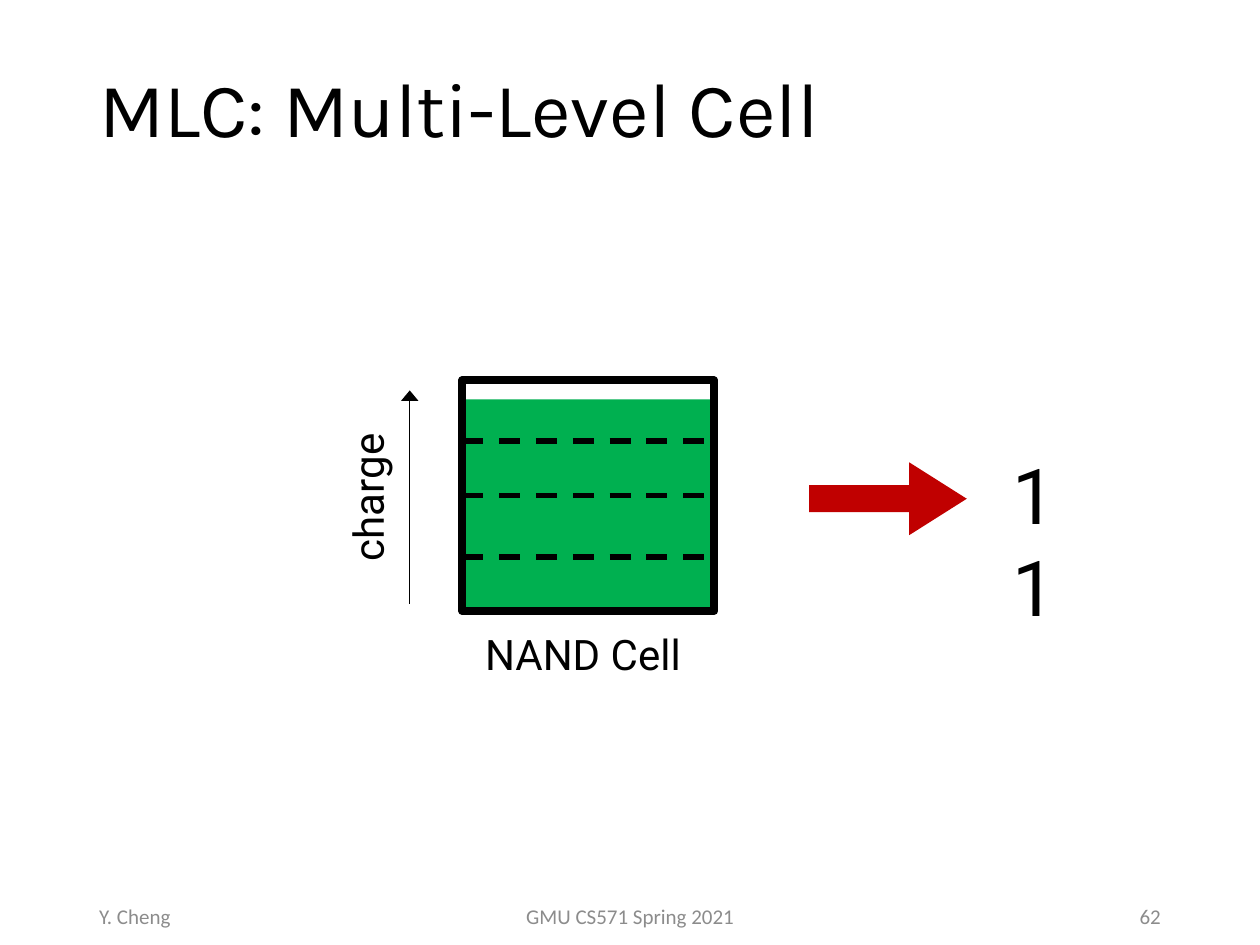
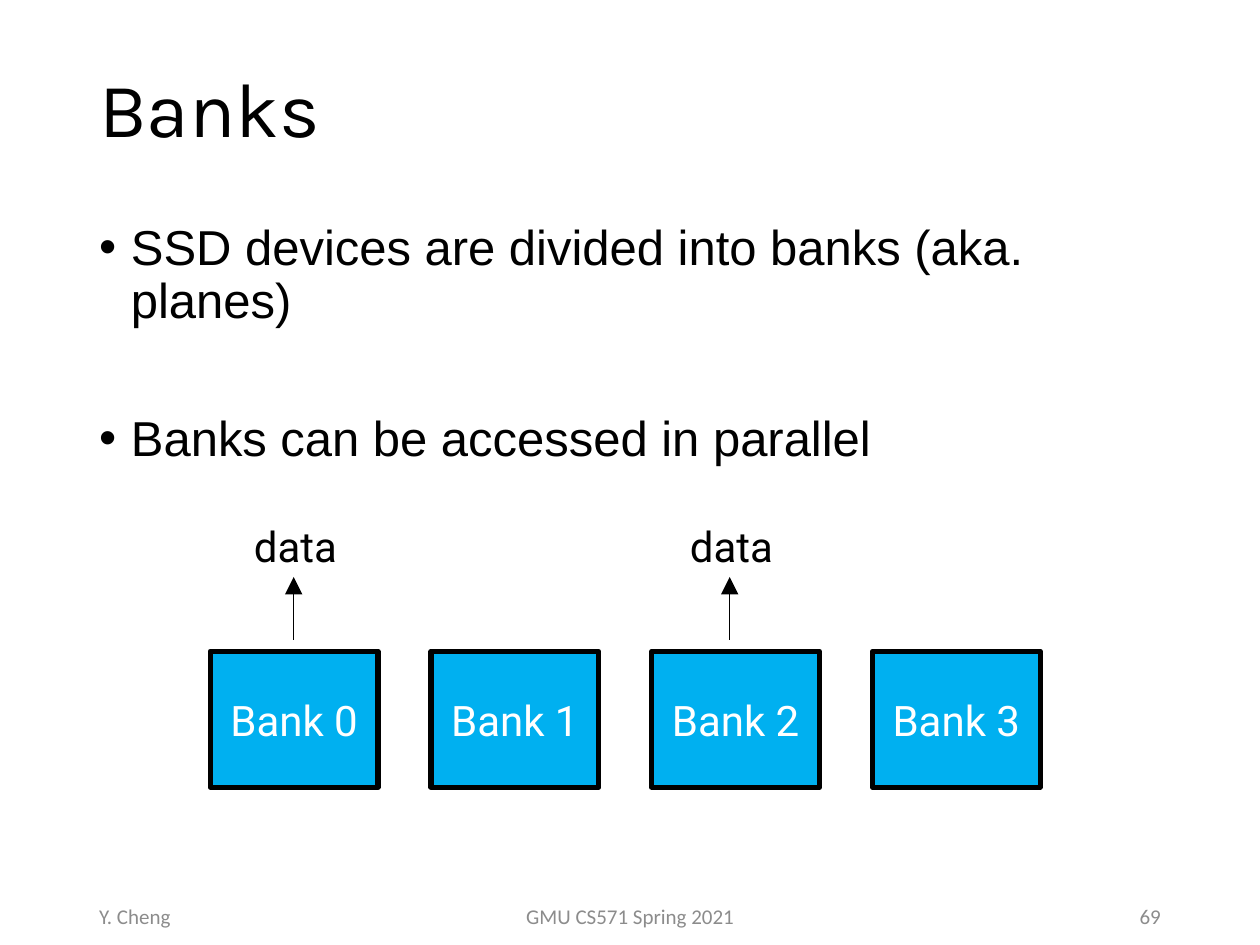
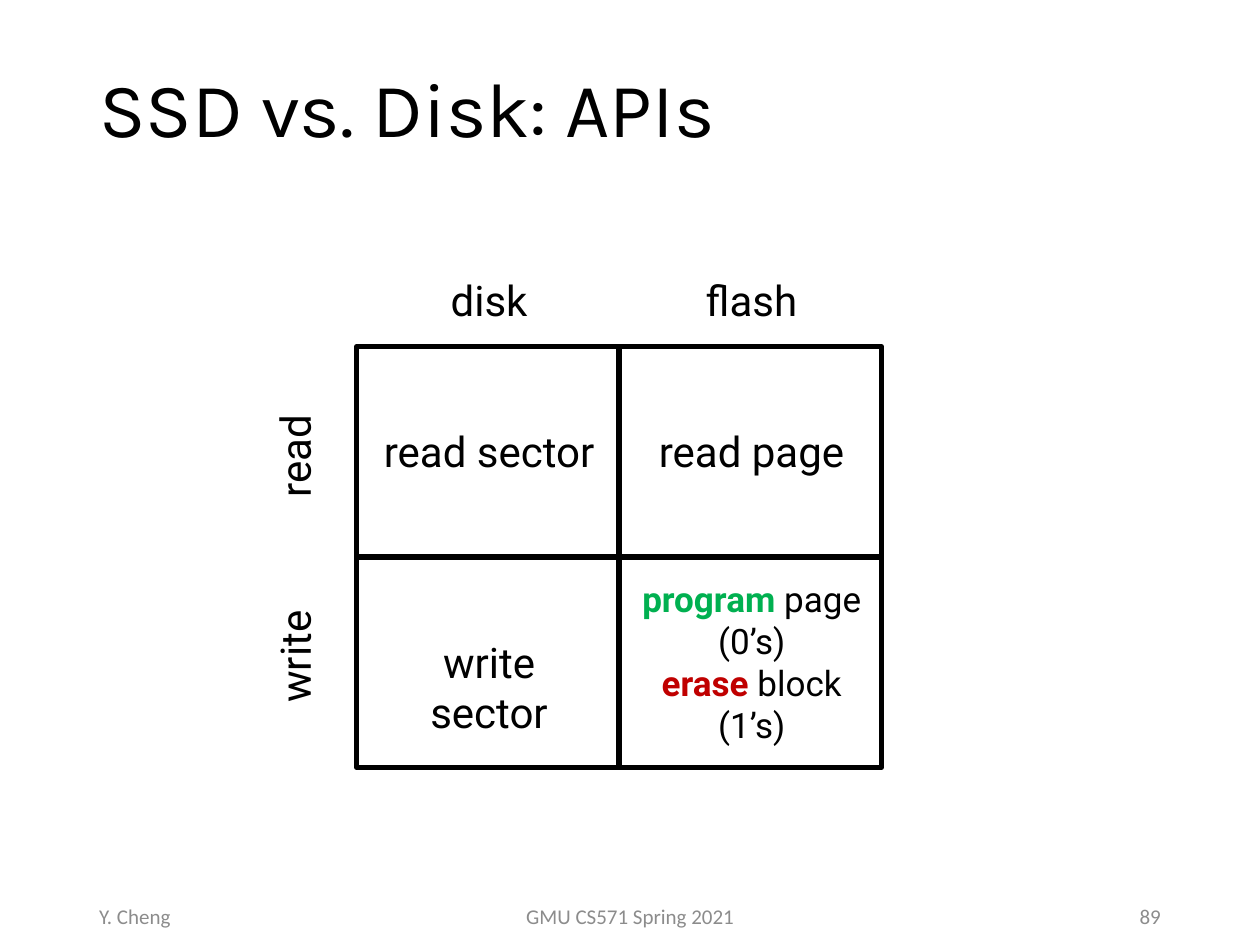
import pptx
import pptx.dml.color
import pptx.enum.dml
import pptx.enum.shapes
import pptx.enum.text
import pptx.oxml
import pptx.oxml.ns
import pptx.util
from pptx.util import Cm

COLORS = {
    "ink": "000000",
    "footer": "8C8C8C",
    "green": "00B050",
    "red": "C00000",
    "bank": "00B0F0",
    "white": "FFFFFF",
}
ALIGN = pptx.enum.text.PP_ALIGN
ANCHOR = pptx.enum.text.MSO_ANCHOR
SHAPE = pptx.enum.shapes.MSO_SHAPE


def rgb(color):
    return pptx.dml.color.RGBColor.from_string(COLORS[color])


def append_xml(parent, tag, **attributes):
    child = pptx.oxml.parse_xml(f"<a:{tag} {pptx.oxml.ns.nsdecls('a')}/>")
    for key, value in attributes.items():
        child.set(key, value)
    parent.append(child)


def add_run(paragraph, text, size, font="Roboto", color="ink", bold=False):
    run = paragraph.add_run()
    run.text = text
    run.font.size = pptx.util.Pt(size)
    run.font.name = font
    run.font.bold = bold
    run.font.color.rgb = rgb(color)


def add_frame(slide, left, top, width, height, wrap=True, grow=False):
    box = slide.shapes.add_textbox(Cm(left), Cm(top), Cm(width), Cm(height))
    frame = box.text_frame
    frame.word_wrap = wrap
    if grow:
        frame.auto_size = pptx.enum.text.MSO_AUTO_SIZE.SHAPE_TO_FIT_TEXT
    return box


def add_label(slide, text, left, top, width, height=1.27, size=24,
              wrap=False, align=ALIGN.LEFT, rotation=0):
    label = add_frame(slide, left, top, width, height, wrap, grow=True)
    label.rotation = rotation
    paragraph = label.text_frame.paragraphs[0]
    paragraph.alignment = align
    add_run(paragraph, text, size)


def add_block(slide, kind, left, top, width, height, fill=None, border=0):
    block = slide.shapes.add_shape(kind, Cm(left), Cm(top), Cm(width), Cm(height))
    block.shadow.inherit = False
    if fill:
        block.fill.solid()
        block.fill.fore_color.rgb = rgb(fill)
    else:
        block.fill.background()
    if border:
        block.line.color.rgb = rgb("ink")
        block.line.width = pptx.util.Pt(border)
    else:
        block.line.fill.background()
    return block


def add_line(slide, start, end, weight):
    line = slide.shapes.add_connector(
        pptx.enum.shapes.MSO_CONNECTOR.STRAIGHT,
        Cm(start[0]), Cm(start[1]), Cm(end[0]), Cm(end[1]))
    line.line.color.rgb = rgb("ink")
    line.line.width = pptx.util.Pt(weight)
    append_xml(line._element.spPr, "effectLst")
    return line


def add_up_arrow(slide, x, bottom, top, head_length):
    arrow = add_line(slide, (x, bottom), (x, top), 0.5)
    append_xml(arrow.line._get_or_add_ln(), "tailEnd",
               type="triangle", w="lg", len=head_length)


def add_footer(slide, text, left, width, align):
    frame = add_frame(slide, left, 17.96, width, 1.02).text_frame
    frame.vertical_anchor = ANCHOR.MIDDLE
    frame.paragraphs[0].alignment = align
    add_run(frame.paragraphs[0], text, 12, "Calibri", "footer")


def start_slide(deck, title, number):
    slide = deck.slides.add_slide(deck.slide_layouts[6])
    frame = add_frame(slide, 1.75, 0.43, 21.9, 3.68).text_frame
    frame.vertical_anchor = ANCHOR.MIDDLE
    frame.paragraphs[0].line_spacing = 0.9
    add_run(frame.paragraphs[0], title, 44, "Karla")
    add_footer(slide, "GMU CS571 Spring 2021", 8.41, 8.59, ALIGN.CENTER)
    add_footer(slide, "Y. Cheng", 1.75, 5.72, ALIGN.LEFT)
    add_footer(slide, str(number), 17.93, 5.72, ALIGN.RIGHT)
    return slide


def add_bullets(slide, bullets):
    frame = add_frame(slide, 1.75, 4.37, 21.9, 13.31).text_frame
    for index, (text, space_before) in enumerate(bullets):
        paragraph = frame.add_paragraph() if index else frame.paragraphs[0]
        paragraph.line_spacing = 0.9
        paragraph.space_before = pptx.util.Pt(space_before)
        properties = paragraph._p.get_or_add_pPr()
        properties.set("marL", str(Cm(0.64)))
        properties.set("indent", str(-Cm(0.64)))
        append_xml(properties, "buFont", typeface="Arial")
        append_xml(properties, "buChar", char="•")
        add_run(paragraph, text, 28, "Arial")


def build_cell_slide(deck):
    slide = start_slide(deck, "MLC: Multi-Level Cell", 62)
    left, right = 9.32, 14.4
    add_block(slide, SHAPE.RECTANGLE, left, 8.05, 5.08, 4.29, fill="green")
    cell = add_block(slide, SHAPE.RECTANGLE, left, 7.67, 5.08, 4.65, border=4.5)
    levels = []
    for y in (8.89, 10, 11.23):
        level = add_line(slide, (left, y), (right, y), 3)
        level.line.dash_style = pptx.enum.dml.MSO_LINE.DASH
        levels.append(level)
    levels[1].begin_connect(cell, 1)
    levels[1].end_connect(cell, 3)
    add_label(slide, "NAND Cell", 9.53, 12.55, 4.65)
    add_up_arrow(slide, 8.26, 12.17, 7.87, "med")
    add_label(slide, "charge", 5.84, 9.37, 3.12, rotation=270)
    reading = add_block(slide, SHAPE.RIGHT_ARROW, 16.31, 9.32, 3.18, 1.47, fill="red")
    reading.adjustments[0] = 0.37
    reading.adjustments[1] = 0.79
    add_label(slide, "11", 20.17, 8.89, 2.13, 2.13, size=44, wrap=True)


def build_banks_slide(deck):
    slide = start_slide(deck, "Banks", 69)
    add_bullets(slide, [
        ("SSD devices are divided into banks (aka. planes)", 10),
        ("Banks can be accessed in parallel", 49),
    ])
    for index in range(4):
        bank = add_block(slide, SHAPE.RECTANGLE, 4.24 + 4.45 * index, 13.13,
                         3.38, 2.74, fill="bank", border=3)
        bank.text_frame.vertical_anchor = ANCHOR.MIDDLE
        paragraph = bank.text_frame.paragraphs[0]
        paragraph.alignment = ALIGN.CENTER
        add_run(paragraph, f"Bank {index}", 24, color="white")
    for x in (5.92, 14.71):
        add_up_arrow(slide, x, 12.9, 11.63, "lg")
        add_label(slide, "data", x - 1.05, 10.36, 2.18)


def build_api_slide(deck):
    slide = start_slide(deck, "SSD vs. Disk: APIs", 89)
    left, top, width, height = 7.19, 6.99, 5.29, 4.24
    centered = {"width": 4.88, "wrap": True, "align": ALIGN.CENTER}
    for row in range(2):
        for column in range(2):
            add_block(slide, SHAPE.RECTANGLE, left + width * column,
                      top + height * row, width, height, border=3)
    for column, device in enumerate(("disk", "flash")):
        add_label(slide, device, left + 0.23 + width * column, 5.41, **centered)
    for row, operation in enumerate(("read", "write")):
        add_label(slide, operation, 3.49, 8.56 + 4.04 * row, rotation=270, **centered)
    calls = {(0, 0): "read sector", (0, 1): "read page", (1, 0): "write sector"}
    for (row, column), call in calls.items():
        add_label(slide, call, left + 0.23 + width * column,
                  8.46 + height * row, **centered)
    flash_writes = [
        [("program ", "green", True), ("page", "ink", False)],
        [("(0’s)", "ink", False)],
        [("erase", "red", True), (" block", "ink", False)],
        [("(1’s)", "ink", False)],
    ]
    frame = add_frame(slide, 12.4, 11.51, 5.51, 3.68, grow=True).text_frame
    for index, runs in enumerate(flash_writes):
        paragraph = frame.add_paragraph() if index else frame.paragraphs[0]
        paragraph.alignment = ALIGN.CENTER
        for text, color, bold in runs:
            add_run(paragraph, text, 20, color=color, bold=bold)


def main():
    deck = pptx.Presentation()
    deck.slide_width = Cm(25.4)
    deck.slide_height = Cm(19.05)
    build_cell_slide(deck)
    build_banks_slide(deck)
    build_api_slide(deck)
    deck.save("out.pptx")


if __name__ == "__main__":
    main()
